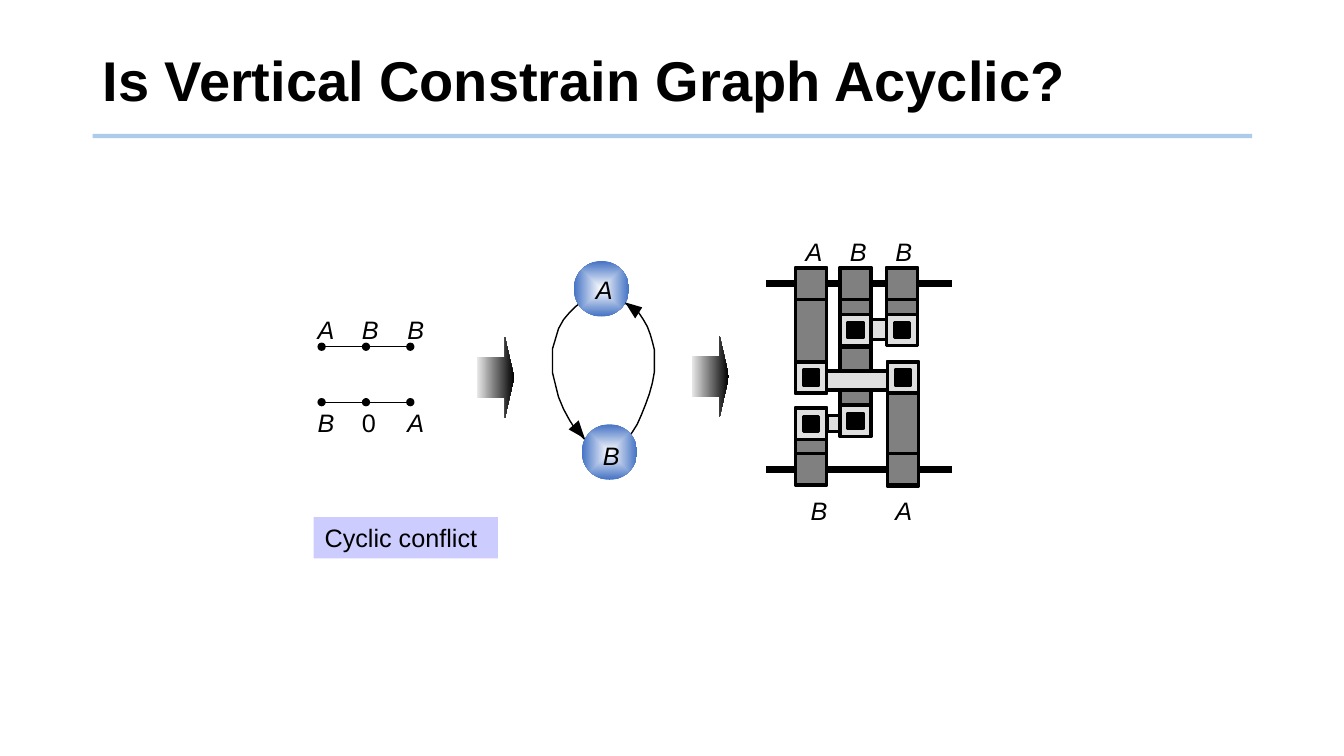
from lxml.etree import SubElement
from pptx import Presentation
from pptx.dml.color import RGBColor
from pptx.enum.shapes import MSO_CONNECTOR, MSO_SHAPE
from pptx.enum.text import MSO_ANCHOR
from pptx.oxml.ns import qn
from pptx.util import Pt

PX = 9144  # 100 px to the inch
C = {"black": "000000", "rule": "5B9BD5", "metal": "808080", "pale": "DFDFDF",
     "note": "CCCCFF", "arrow": "EAEAEA", "white": "FFFFFF", "node": "4472C4"}
C = {name: RGBColor.from_string(value) for name, value in C.items()}

prs = Presentation()
prs.slide_width, prs.slide_height = 1333 * PX, 750 * PX
slide = prs.slides.add_slide(prs.slide_layouts[6])
shapes = slide.shapes


def add_label(text, x, y, w=38, h=41, size=18, italic=False, inset=11):
    s = shapes.add_textbox(x * PX, y * PX, w * PX, h * PX)
    tf = s.text_frame
    tf.word_wrap = True
    tf.margin_left = tf.margin_right = inset * PX
    p = tf.paragraphs[0]
    p.text = text
    p.font.name, p.font.size, p.font.italic = "Arial", Pt(size), italic
    p.font.color.rgb = C["black"]
    return s


def add_box(x, y, w, h, color=None, kind=MSO_SHAPE.RECTANGLE, outline=True):
    s = shapes.add_shape(kind, x * PX, y * PX, w * PX, h * PX)
    s.shadow.inherit = False
    if color:
        s.fill.solid()
        s.fill.fore_color.rgb = C[color]
    else:
        s.fill.background()
    if outline:
        s.line.color.rgb = C["black"]
        s.line.width = Pt(2.5)
    else:
        s.line.fill.background()
    return s


# Title
s = add_label("Is Vertical Constrain Graph Acyclic?", 92, 28, 1150, 110, 40, inset=10)
s.text_frame.vertical_anchor = MSO_ANCHOR.MIDDLE
p = s.text_frame.paragraphs[0]
p.font.bold = True
p.line_spacing = 0.9

# Title rule, pin rows and channel rails: x1, x2, y, colour, points, dots at ends
lines = [(92, 1242, 135, "rule", 3, [])]
for y in (344, 399):
    lines += [(319, 363, y, "black", 0.75, ["headEnd", "tailEnd"]),
              (363, 407, y, "black", 0.75, ["tailEnd"])]
lines += [(760, 944, y, "black", 5, []) for y in (281, 466)]
for x1, x2, y, color, width, dots in lines:
    s = shapes.add_connector(MSO_CONNECTOR.STRAIGHT, x1 * PX, y * PX, x2 * PX, y * PX)
    SubElement(s._element.spPr, qn("a:effectLst"))
    s.line.color.rgb = C[color]
    s.line.width = Pt(width)
    ln = s.line._get_or_add_ln()
    for dot in dots:
        SubElement(ln, qn("a:" + dot), type="oval")
    if color == "rule":
        SubElement(ln.find(".//" + qn("a:srgbClr")), qn("a:alpha"), val="50000")

# Pin names
for y, names in ((307, "ABB"), (399, "B0A")):
    for x, name in zip((304, 348, 393), names):
        add_label(name, x, y, italic=name != "0")

# Step arrows
for x, y in ((473, 334), (686, 333)):
    s = add_box(x, y, 37, 81, kind=MSO_SHAPE.RIGHT_ARROW, outline=False)
    s.adjustments[0], s.adjustments[1] = 0.5, 0.25
    s.fill.gradient()
    s.fill.gradient_angle = 0
    for stop, color in zip(s.fill.gradient_stops, ("arrow", "black")):
        stop.color.rgb = C[color]

# Graph edges
edges = [
    [(620, 301), (628, 305), (634, 311), (638, 317), (642, 324), (645, 332),
     (647, 339), (649, 347), (649, 358), (649, 369), (647, 380), (644, 391),
     (640, 402), (636, 412), (632, 421), (627, 429), (622, 435)],
    [(578, 299), (571, 304), (565, 310), (559, 317), (554, 326), (551, 336),
     (548, 346), (548, 358), (548, 370), (551, 382), (554, 394), (559, 406),
     (565, 417), (572, 428), (580, 436)],
]
for points in edges:
    builder = shapes.build_freeform(*points[0], scale=PX)
    builder.add_line_segments(points[1:], close=False)
    s = builder.convert_to_shape()
    s.shadow.inherit = False
    s.fill.background()
    s.line.color.rgb = C["black"]
    s.line.width = Pt(1)

# Graph nodes
for name, x, y, label_x, label_y in (("A", 569, 259, 580, 267), ("B", 577, 421, 587, 432)):
    s = add_box(x, y, 55, 55, kind=MSO_SHAPE.OVAL, outline=False)
    s.fill.gradient()
    for stop, color in zip(s.fill.gradient_stops, ("white", "node")):
        stop.color.rgb = C[color]
    grad = s._element.spPr.find(qn("a:gradFill"))
    grad.remove(grad.find(qn("a:lin")))
    shade = SubElement(grad, qn("a:path"), {"path": "shape"})
    SubElement(shade, qn("a:fillToRect"), {side: "50000" for side in "ltrb"})
    add_label(name, label_x, label_y, 55, italic=True)

# Edge arrowheads
for points in ([(580, 435), (574, 417), (564, 426)], [(620, 300), (630, 316), (637, 305)]):
    builder = shapes.build_freeform(*points[0], scale=PX)
    builder.add_line_segments(points[1:], close=True)
    s = builder.convert_to_shape()
    s.shadow.inherit = False
    s.fill.solid()
    s.fill.fore_color.rgb = C["black"]
    s.line.fill.background()

# Channel layout: vertical wires, horizontal wires, pins, vias
LEFT, MID, RIGHT, SIDE = 789, 833, 880, 31
for x, y, h in ((RIGHT, 359, 123), (LEFT, 266, 124), (LEFT, 405, 76),
                (MID, 344, 62), (RIGHT - 1, 266, 77), (MID, 266, 77)):
    add_box(x, y, SIDE, h, "metal")
for x, y, w, h in ((841, 317, 66, 20), (818, 368, 66, 19), (820, 412, 15, 16)):
    add_box(x, y, w, h, "pale")
for x, y in ((LEFT, 266), (MID, 266), (RIGHT - 1, 266), (LEFT, 450), (RIGHT, 450)):
    add_box(x, y, SIDE, SIDE)
for x, y in ((MID, 312), (RIGHT - 1, 312), (LEFT, 359), (RIGHT, 359),
             (MID, 402), (LEFT, 405)):
    add_box(x, y, SIDE, SIDE, "pale")
    add_box(x + 8, y + 8, 15, 15, "black")
for name, x, y in (("A", 788, 229), ("B", 832, 229), ("B", 877, 229),
                   ("B", 793, 486), ("A", 877, 486)):
    add_label(name, x, y, italic=True)

# Note
s = add_label("Cyclic conflict", 311, 513, 183)
s.fill.solid()
s.fill.fore_color.rgb = C["note"]

prs.save("out.pptx")
